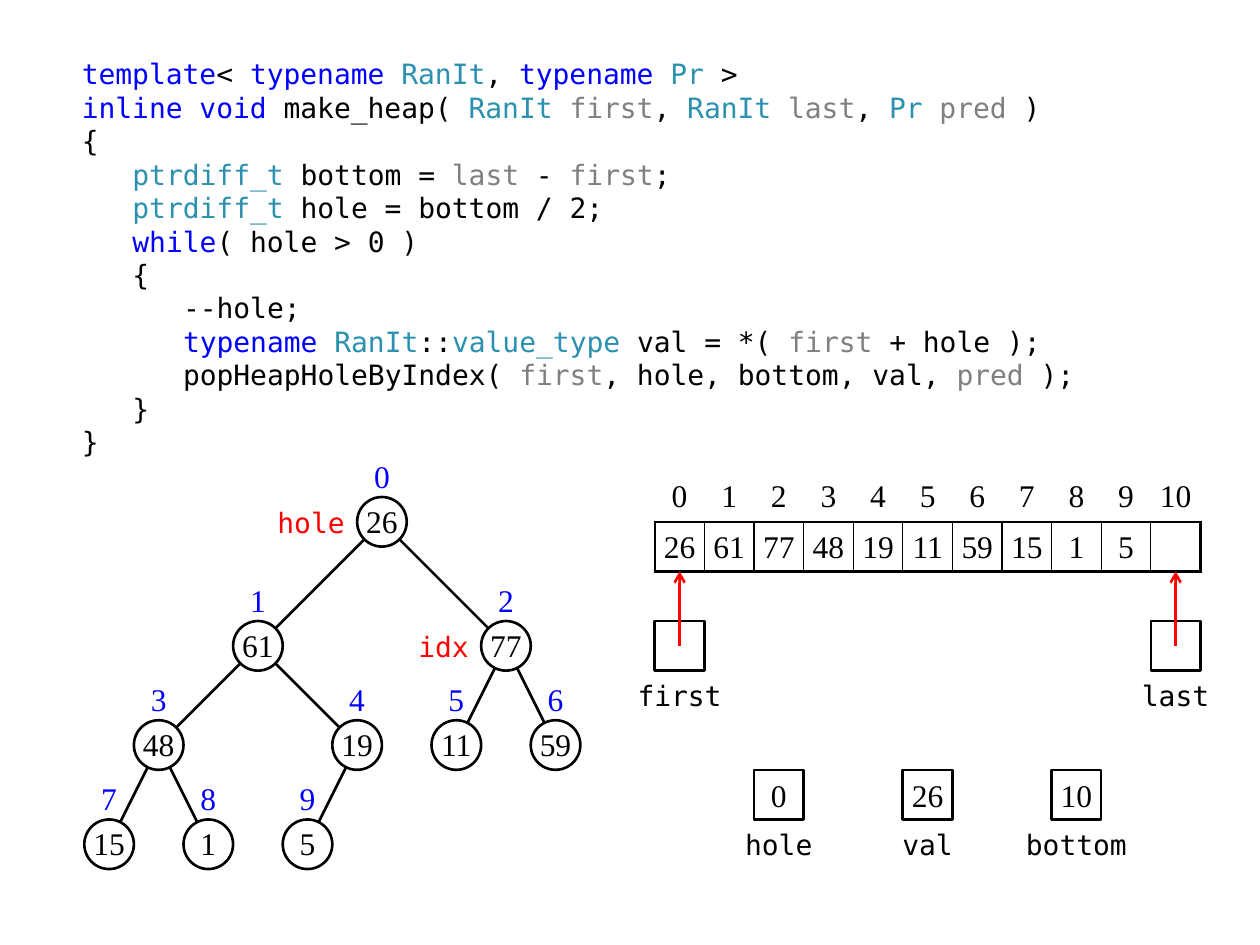
import dataclasses

import lxml.etree
import pptx
import pptx.dml.color
import pptx.enum.shapes
import pptx.enum.text
import pptx.oxml.ns
import pptx.util

EMU_PER_PX = 3600  # 100 px to the centimetre
CELL = 100
ANCHOR = pptx.enum.text.MSO_ANCHOR
ALIGN = pptx.enum.text.PP_ALIGN
SHAPE = pptx.enum.shapes.MSO_SHAPE


@dataclasses.dataclass(frozen=True)
class Theme:
    black: str = "000000"
    white: str = "FFFFFF"
    keyword: str = "0000FF"
    type_name: str = "2B91AF"
    parameter: str = "808080"
    index: str = "0000FF"
    marker: str = "FF0000"
    code_font: str = "DejaVu Sans Mono"
    number_font: str = "Times New Roman"
    code_size: int = 16
    number_size: int = 18
    code_spacing: float = 19.1
    line: float = 1.5
    thin_line: float = 0.75


THEME = Theme()
PLAIN, KEYWORD, TYPE, PARAMETER = THEME.black, THEME.keyword, THEME.type_name, THEME.parameter

# Each line: indent level, then its coloured runs
CODE = [
    (0, [("template", KEYWORD), ("< ", PLAIN), ("typename ", KEYWORD), ("RanIt", TYPE),
         (", ", PLAIN), ("typename ", KEYWORD), ("Pr", TYPE), (" >", PLAIN)]),
    (0, [("inline void ", KEYWORD), ("make_heap( ", PLAIN), ("RanIt ", TYPE),
         ("first", PARAMETER), (", ", PLAIN), ("RanIt ", TYPE), ("last", PARAMETER),
         (", ", PLAIN), ("Pr ", TYPE), ("pred", PARAMETER), (" )", PLAIN)]),
    (0, [("{", PLAIN)]),
    (1, [("ptrdiff_t ", TYPE), ("bottom = ", PLAIN), ("last", PARAMETER), (" - ", PLAIN),
         ("first", PARAMETER), (";", PLAIN)]),
    (1, [("ptrdiff_t ", TYPE), ("hole = bottom / 2;", PLAIN)]),
    (1, [("while", KEYWORD), ("( hole > 0 )", PLAIN)]),
    (1, [("{", PLAIN)]),
    (2, [("--hole;", PLAIN)]),
    (2, [("typename ", KEYWORD), ("RanIt", TYPE), ("::", PLAIN), ("value_type ", TYPE),
         ("val = *( ", PLAIN), ("first", PARAMETER), (" + hole );", PLAIN)]),
    (2, [("popHeapHoleByIndex( ", PLAIN), ("first", PARAMETER),
         (", hole, bottom, val, ", PLAIN), ("pred", PARAMETER), (" );", PLAIN)]),
    (1, [("}", PLAIN)]),
    (0, [("}", PLAIN)]),
]
CODE_INDENT = 102

HEAP = [26, 61, 77, 48, 19, 11, 59, 15, 1, 5]
NODE_CENTERS = [(770, 1052), (520, 1302), (1020, 1302), (320, 1502), (720, 1502),
                (920, 1502), (1120, 1502), (220, 1702), (420, 1702), (620, 1702)]
ARRAY_LEFT, ARRAY_TOP = 1320, 952
POINTER_Y = 1302
VARIABLE_Y = 1602
# Name, value, centre, label width
VARIABLES = [("hole", 0, 1570, 200), ("val", 26, 1870, 100), ("bottom", 10, 2170, 300)]


def px(value):
    return pptx.util.Emu(round(value * EMU_PER_PX))


def rgb(color):
    return pptx.dml.color.RGBColor.from_string(color)


def centered(x, y, width=CELL, height=CELL):
    return px(x - width / 2), px(y - height / 2), px(width), px(height)


def add_run(paragraph, text, font, size, color):
    run = paragraph.add_run()
    run.text = str(text)
    run.font.name = font
    run.font.size = pptx.util.Pt(size)
    run.font.color.rgb = rgb(color)


def add_code_run(paragraph, text, color=THEME.black):
    add_run(paragraph, text, THEME.code_font, THEME.code_size, color)


def add_number_run(paragraph, text, color=THEME.black):
    add_run(paragraph, text, THEME.number_font, THEME.number_size, color)


def set_frame(frame, anchor, left=0, top=0, right=0, bottom=0):
    frame.word_wrap = False
    frame.auto_size = pptx.enum.text.MSO_AUTO_SIZE.NONE
    frame.vertical_anchor = anchor
    frame.margin_left, frame.margin_top = px(left), px(top)
    frame.margin_right, frame.margin_bottom = px(right), px(bottom)


def add_code(slide):
    body = slide.placeholders[1]
    body.left, body.top, body.width, body.height = px(120), px(102), px(2100), px(850)
    frame = body.text_frame
    set_frame(frame, ANCHOR.TOP, 45, 13, 25, 13)
    frame.word_wrap = True
    for number, (level, runs) in enumerate(CODE):
        paragraph = frame.add_paragraph() if number else frame.paragraphs[0]
        paragraph.alignment = ALIGN.LEFT
        paragraph.line_spacing = pptx.util.Pt(THEME.code_spacing)
        paragraph.space_before = paragraph.space_after = pptx.util.Pt(0)
        properties = paragraph._p.get_or_add_pPr()
        properties.set("marL", str(px(level * CODE_INDENT)))
        properties.set("indent", "0")
        lxml.etree.SubElement(properties, pptx.oxml.ns.qn("a:buNone"))
        for text, color in runs:
            add_code_run(paragraph, text, color)


def add_line(slide, start, end, color=THEME.black, arrow=False):
    connector = slide.shapes.add_connector(
        pptx.enum.shapes.MSO_CONNECTOR.STRAIGHT, *map(px, (*start, *end)))
    connector.line.color.rgb = rgb(color)
    connector.line.width = pptx.util.Pt(THEME.line)
    if arrow:
        lxml.etree.SubElement(connector.line._get_or_add_ln(),
                              pptx.oxml.ns.qn("a:tailEnd"), type="arrow")
    lxml.etree.SubElement(connector._element.spPr, pptx.oxml.ns.qn("a:effectLst"))


def add_value_shape(slide, kind, center, value="", anchor=ANCHOR.MIDDLE):
    shape = slide.shapes.add_shape(kind, *centered(*center))
    shape.shadow.inherit = False
    shape.fill.solid()
    shape.fill.fore_color.rgb = rgb(THEME.white)
    shape.line.color.rgb = rgb(THEME.black)
    shape.line.width = pptx.util.Pt(THEME.line)
    if value != "":
        set_frame(shape.text_frame, anchor)
        paragraph = shape.text_frame.paragraphs[0]
        paragraph.alignment = ALIGN.CENTER
        add_number_run(paragraph, value)


def add_label(slide, text, center, width=CELL, color=THEME.black, align=ALIGN.CENTER,
              side=0):
    box = slide.shapes.add_textbox(*centered(*center, width))
    set_frame(box.text_frame, ANCHOR.MIDDLE, left=side, right=side)
    paragraph = box.text_frame.paragraphs[0]
    paragraph.alignment = align
    add_code_run(paragraph, text, color)


def add_node_index(slide, index, center):
    x, y = center
    box = slide.shapes.add_textbox(*centered(x, y - CELL))
    set_frame(box.text_frame, ANCHOR.BOTTOM, bottom=5)
    paragraph = box.text_frame.paragraphs[0]
    paragraph.alignment = ALIGN.CENTER
    add_number_run(paragraph, index, THEME.index)


def add_tree(slide):
    for child in range(1, len(HEAP)):
        add_line(slide, NODE_CENTERS[(child - 1) // 2], NODE_CENTERS[child])
    for value, center in zip(HEAP, NODE_CENTERS):
        add_value_shape(slide, SHAPE.OVAL, center, value, ANCHOR.BOTTOM)
    for index, center in enumerate(NODE_CENTERS):
        add_node_index(slide, index, center)
    for name, node, width in (("hole", 0, 200), ("idx", 2, 150)):
        x, y = NODE_CENTERS[node]
        add_label(slide, name, (x - (CELL + width) / 2, y), width, THEME.marker,
                  ALIGN.RIGHT, side=25)


def add_border(cell, side, width):
    line = lxml.etree.SubElement(cell._tc.get_or_add_tcPr(), pptx.oxml.ns.qn("a:ln" + side),
                                 w=str(pptx.util.Pt(width)))
    fill = lxml.etree.SubElement(line, pptx.oxml.ns.qn("a:solidFill"))
    lxml.etree.SubElement(fill, pptx.oxml.ns.qn("a:srgbClr"), val=THEME.black)


def add_array(slide):
    count = len(HEAP) + 1
    table = slide.shapes.add_table(2, count, px(ARRAY_LEFT), px(ARRAY_TOP),
                                   px(count * CELL), px(2 * CELL)).table
    table.first_row = table.horz_banding = False
    for part in (*table.columns, *table.rows):
        setattr(part, "width" if hasattr(part, "width") else "height", px(CELL))
    for row, values in enumerate((range(count), HEAP + [""])):
        for column, value in enumerate(values):
            cell = table.cell(row, column)
            cell.margin_left = cell.margin_right = cell.margin_bottom = 0
            cell.margin_top = px(5 * row)
            cell.vertical_anchor = ANCHOR.MIDDLE
            if row:
                add_border(cell, "L", THEME.thin_line if column else THEME.line)
                add_border(cell, "R", THEME.thin_line if column < count - 1 else THEME.line)
                add_border(cell, "T", THEME.line)
            add_border(cell, "B", THEME.line)
            cell.fill.background()
            paragraph = cell.text_frame.paragraphs[0]
            paragraph.alignment = ALIGN.CENTER
            if value != "":
                add_number_run(paragraph, value)


def add_pointer(slide, name, index):
    x = ARRAY_LEFT + index * CELL + CELL / 2
    add_label(slide, name, (x, POINTER_Y + CELL), 2 * CELL)
    add_value_shape(slide, SHAPE.RECTANGLE, (x, POINTER_Y))
    add_line(slide, (x, POINTER_Y), (x, ARRAY_TOP + 2 * CELL), THEME.marker, arrow=True)


def main():
    presentation = pptx.Presentation()
    presentation.slide_width, presentation.slide_height = px(2540), px(1905)
    slide = presentation.slides.add_slide(presentation.slide_layouts[1])
    title = slide.shapes.title._element
    title.getparent().remove(title)
    add_code(slide)
    add_tree(slide)
    add_array(slide)
    add_pointer(slide, "first", 0)
    add_pointer(slide, "last", len(HEAP))
    for name, value, x, width in VARIABLES:
        add_label(slide, name, (x, VARIABLE_Y + CELL), width)
        add_value_shape(slide, SHAPE.RECTANGLE, (x, VARIABLE_Y), value)
    presentation.save("out.pptx")


if __name__ == "__main__":
    main()
